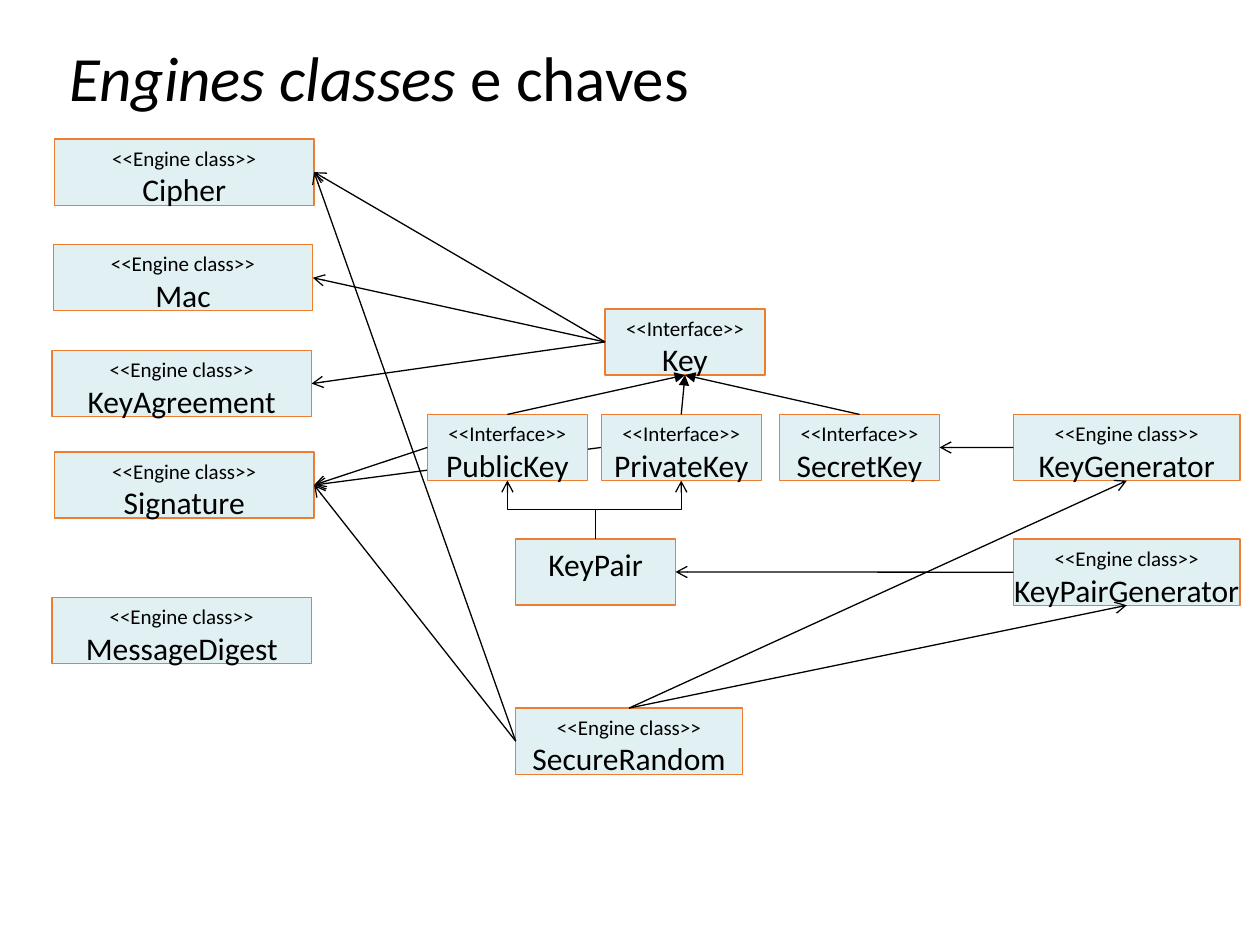
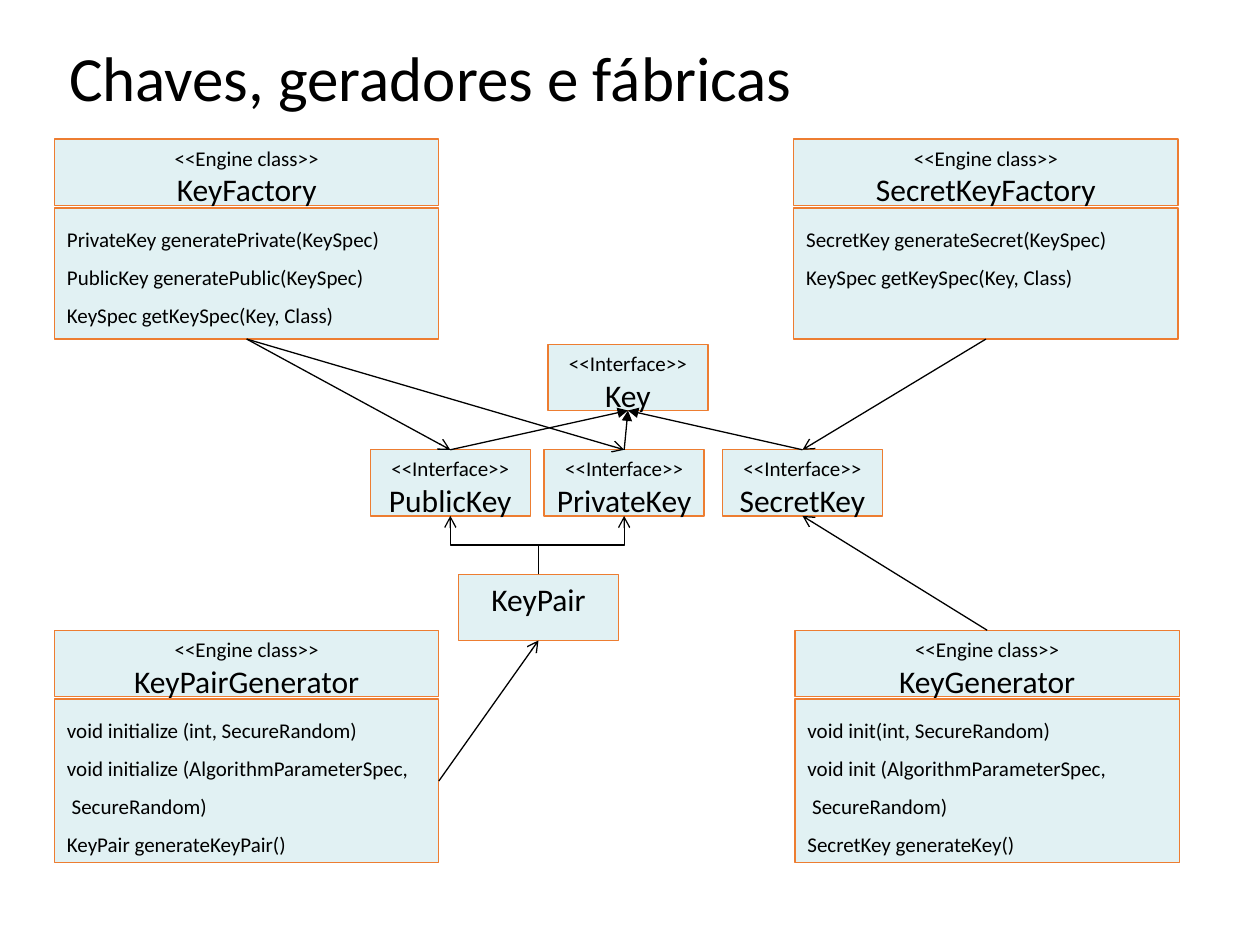
"""Build two class diagrams of cryptographic engine classes and keys."""
from lxml import etree
from pptx import Presentation
from pptx.dml.color import RGBColor
from pptx.enum.shapes import MSO_CONNECTOR, MSO_SHAPE
from pptx.enum.text import MSO_ANCHOR, PP_ALIGN
from pptx.oxml.ns import qn
from pptx.util import Inches, Pt

BLACK = RGBColor(0x00, 0x00, 0x00)
PALE = RGBColor(0xE1, 0xF1, 0xF3)
ORANGE = RGBColor(0xED, 0x7D, 0x31)
FONT = "Calibri"
RECT = MSO_SHAPE.RECTANGLE
STRAIGHT, ELBOW = MSO_CONNECTOR.STRAIGHT, MSO_CONNECTOR.ELBOW
TOP_ANCHOR, MIDDLE = MSO_ANCHOR.TOP, MSO_ANCHOR.MIDDLE
CENTER, START = PP_ALIGN.CENTER, PP_ALIGN.LEFT
TOP, LEFT, BOTTOM, RIGHT = range(4)
OPEN, SOLID = "arrow", "triangle"
ENGINE, INTERFACE = "<<Engine class>>", "<<Interface>>"

prs = Presentation()
prs.slide_width, prs.slide_height = Inches(10), Inches(7.5)
COL, ROW = prs.slide_width / 100, prs.slide_height / 75
HEAD_H, BODY_DROP = 5.25, 5.47
KEY_W, ENGINE_W, GENERATOR_W, CARD_W = 12.7, 20.6, 18, 30.5

KEY_BOXES = [
    ("Key", INTERFACE, 14.1, 0),
    ("SecretKey", INTERFACE, 27.95, 8.37),
    ("PrivateKey", INTERFACE, 13.8, 8.37),
    ("PublicKey", INTERFACE, 0, 8.37),
    ("KeyPair", None, 7, 18.25),
]
KEY_LINKS = [(name, TOP, "Key", BOTTOM, SOLID)
             for name in ("SecretKey", "PrivateKey", "PublicKey")]

PAGES = [
    {
        "title": [("Engines classes", 36, True), (" e chaves", 36, False)],
        "keys_at": (33.92, 24.52),
        "boxes": [
            ("Cipher", 4.33, 11.04, ENGINE_W),
            ("Mac", 4.23, 19.42, ENGINE_W),
            ("KeyAgreement", 4.13, 27.82, ENGINE_W),
            ("Signature", 4.33, 35.87, ENGINE_W),
            ("MessageDigest", 4.13, 47.42, ENGINE_W),
            ("KeyGenerator", 80.43, 32.9, GENERATOR_W),
            ("KeyPairGenerator", 80.43, 42.79, GENERATOR_W),
            ("SecureRandom", 40.93, 56.2, GENERATOR_W),
        ],
        "members": {},
        "behind": [
            ("Key", LEFT, "KeyAgreement", RIGHT, OPEN),
            ("PrivateKey", LEFT, "Signature", RIGHT, OPEN),
        ],
        "links": [
            ("KeyGenerator", LEFT, "SecretKey", RIGHT, OPEN),
            ("KeyPairGenerator", LEFT, "KeyPair", RIGHT, OPEN),
            ("SecureRandom", TOP, "KeyGenerator", BOTTOM, OPEN),
            ("SecureRandom", TOP, "KeyPairGenerator", BOTTOM, OPEN),
            ("SecureRandom", LEFT, "Cipher", RIGHT, OPEN),
            ("SecureRandom", LEFT, "Signature", RIGHT, OPEN),
            ("Key", LEFT, "Cipher", RIGHT, OPEN),
            ("Key", LEFT, "Mac", RIGHT, OPEN),
            ("PublicKey", LEFT, "Signature", RIGHT, OPEN),
        ],
    },
    {
        "title": [("Chaves, geradores e fábricas", 36, False)],
        "keys_at": (29.39, 27.33),
        "boxes": [
            ("KeyFactory", 4.33, 11.04, CARD_W),
            ("SecretKeyFactory", 63, 11.04, CARD_W),
            ("KeyPairGenerator", 4.33, 50.02, CARD_W),
            ("KeyGenerator", 63.1, 50.02, CARD_W),
        ],
        "members": {
            "KeyFactory": (10.4, ["PrivateKey generatePrivate(KeySpec)",
                                  "PublicKey generatePublic(KeySpec)",
                                  "KeySpec getKeySpec(Key, Class)"]),
            "SecretKeyFactory": (10.4, ["SecretKey generateSecret(KeySpec)",
                                        "KeySpec getKeySpec(Key, Class)"]),
            "KeyPairGenerator": (13, ["void initialize (int, SecureRandom)",
                                      "void initialize (AlgorithmParameterSpec,",
                                      " SecureRandom)",
                                      "KeyPair generateKeyPair()"]),
            "KeyGenerator": (13, ["void init(int, SecureRandom)",
                                  "void init (AlgorithmParameterSpec,",
                                  " SecureRandom)",
                                  "SecretKey generateKey()"]),
        },
        "behind": [],
        "links": [
            ("KeyPairGenerator body", RIGHT, "KeyPair", BOTTOM, OPEN),
            ("KeyGenerator", TOP, "SecretKey", BOTTOM, OPEN),
            ("SecretKeyFactory body", BOTTOM, "SecretKey", TOP, OPEN),
            ("KeyFactory body", BOTTOM, "PublicKey", TOP, OPEN),
            ("KeyFactory body", BOTTOM, "PrivateKey", TOP, OPEN),
        ],
    },
]


def write(sp, paragraphs, align=CENTER, spacing=1.0, anchor=TOP_ANCHOR, wrap=False):
    tf = sp.text_frame
    tf.word_wrap, tf.vertical_anchor = wrap, anchor
    for i, runs in enumerate(paragraphs):
        p = tf.add_paragraph() if i else tf.paragraphs[0]
        p.alignment, p.line_spacing = align, spacing
        for text, size, italic in runs:
            r = p.add_run()
            r.text = text
            r.font.name, r.font.size, r.font.italic = FONT, Pt(size), italic
            r.font.color.rgb = BLACK


def style_line(cn, head):
    cn.line.color.rgb, cn.line.width = BLACK, Pt(0.75)
    ln = cn.line._get_or_add_ln()
    etree.SubElement(ln, qn("a:tailEnd"), type=head)
    etree.SubElement(cn._element.spPr, qn("a:effectLst"))


for page in PAGES:
    s = prs.slides.add_slide(prs.slide_layouts[6])
    sp = s.shapes.add_textbox(int(4.5 * COL), int(2.85 * ROW), int(91 * COL), int(7.2 * ROW))
    write(sp, [page["title"]], align=START, spacing=0.9, anchor=MIDDLE, wrap=True)

    key_x, key_y = page["keys_at"]
    cells = []
    for name, kind, dx, dy in KEY_BOXES:
        lines = [[(kind, 12, False)]] if kind else []
        lines.append([(name, 18, False)])
        cells.append((name, key_x + dx, key_y + dy, KEY_W, HEAD_H, lines, CENTER, 1.0))
    for name, x, y, w in page["boxes"]:
        lines = [[(ENGINE, 12, False)], [(name, 18, False)]]
        cells.append((name, x, y, w, HEAD_H, lines, CENTER, 1.0))
        if name in page["members"]:
            h, methods = page["members"][name]
            lines = [[(method, 12, False)] for method in methods]
            cells.append((name + " body", x, y + BODY_DROP, w, h, lines, START, 1.5))

    boxes = {}
    for name, x, y, w, h, lines, align, spacing in cells:
        sp = s.shapes.add_shape(RECT, int(x * COL), int(y * ROW), int(w * COL), int(h * ROW))
        sp.shadow.inherit = False
        sp.fill.solid()
        sp.fill.fore_color.rgb = PALE
        sp.line.color.rgb, sp.line.width = ORANGE, Pt(0.75)
        write(sp, lines, align=align, spacing=spacing)
        boxes[name] = sp

    for link in page["behind"] + KEY_LINKS + page["links"]:
        start, start_side, end, end_side, head = link
        cn = s.shapes.add_connector(STRAIGHT, 0, 0, 0, 0)
        cn.begin_connect(boxes[start], start_side)
        cn.end_connect(boxes[end], end_side)
        style_line(cn, head)
        if link in page["behind"]:
            s.shapes._spTree.insert(2, cn._element)

    pair = boxes["KeyPair"]
    for name in ("PrivateKey", "PublicKey"):
        key = boxes[name]
        x1, x2 = pair.left + pair.width // 2, key.left + key.width // 2
        y1, y2 = pair.top, key.top + key.height
        cx, cy, run, rise = (x1 + x2) // 2, (y1 + y2) // 2, x2 - x1, y1 - y2
        cn = s.shapes.add_connector(ELBOW, cx - rise // 2, cy - run // 2,
                                    cx + rise // 2, cy + run // 2)
        cn._element.spPr.xfrm.set("rot", str(270 * 60000))
        style_line(cn, OPEN)

prs.save("out.pptx")
